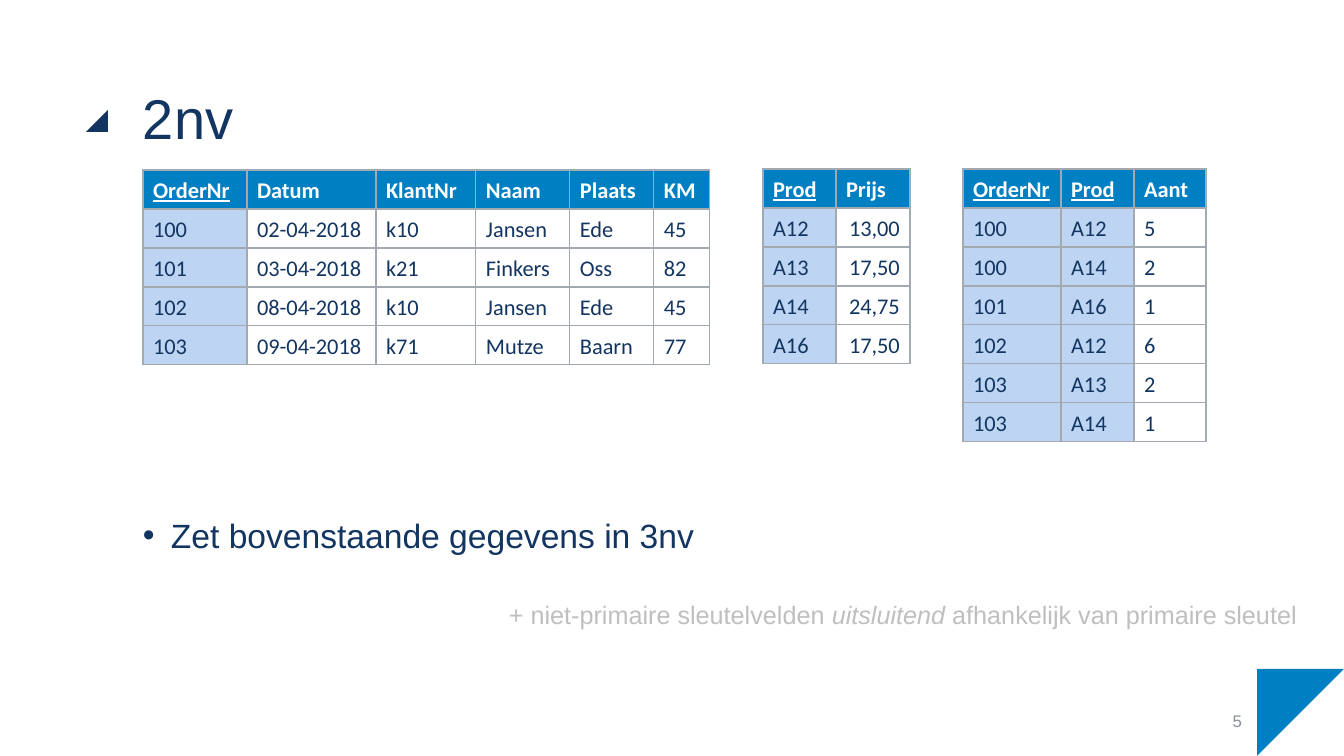
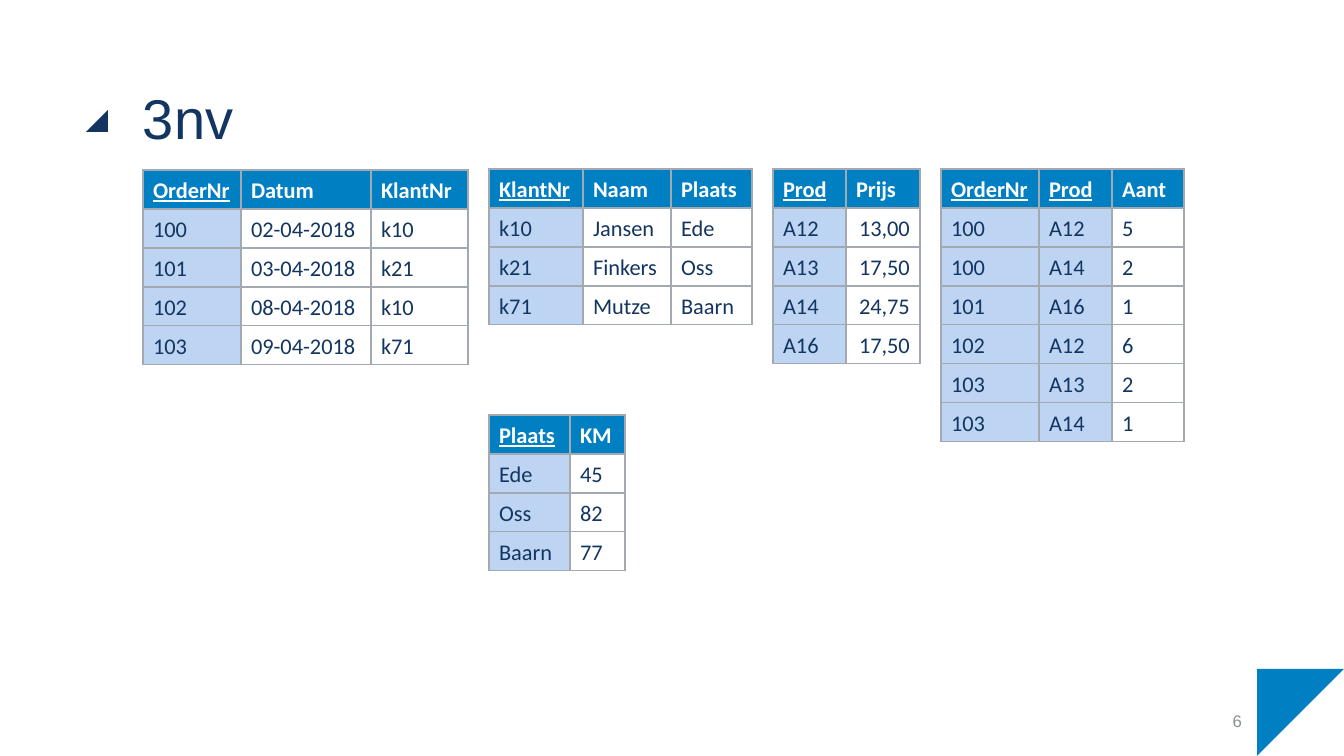
from dataclasses import dataclass

from lxml.etree import SubElement
from pptx import Presentation
from pptx.dml.color import RGBColor
from pptx.enum.shapes import MSO_SHAPE
from pptx.enum.text import MSO_ANCHOR, PP_ALIGN
from pptx.oxml import parse_xml
from pptx.oxml.ns import nsdecls, qn
from pptx.util import Emu, Pt


@dataclass(frozen=True)
class Theme:
    navy: str = "133561"
    blue: str = "007FC3"
    key: str = "BDD4F2"
    white: str = "FFFFFF"
    border: str = "A2A9B1"
    number: str = "8C909E"
    hint: str = "BFBFBF"
    font: str = "Arial"
    table_font: str = "Calibri"
    title_size: int = 40
    body_size: int = 24
    hint_size: int = 18
    table_size: int = 16
    number_size: int = 12


THEME = Theme()
SLIDE_W, SLIDE_H = 1344, 756
ROW_H = 39
LEFT = 143

ORDERS_2NV = {
    "keys": 1,
    "cols": [("OrderNr", 104), ("Datum", 129), ("KlantNr", 100),
             ("Naam", 94), ("Plaats", 84), ("KM", 56)],
    "rows": [
        ("100", "02-04-2018", "k10", "Jansen", "Ede", "45"),
        ("101", "03-04-2018", "k21", "Finkers", "Oss", "82"),
        ("102", "08-04-2018", "k10", "Jansen", "Ede", "45"),
        ("103", "09-04-2018", "k71", "Mutze", "Baarn", "77"),
    ],
}
ORDERS_3NV = {
    "keys": 1,
    "cols": [("OrderNr", 98), ("Datum", 130), ("KlantNr", 97)],
    "rows": [row[:3] for row in ORDERS_2NV["rows"]],
}
CUSTOMERS = {
    "keys": 1,
    "cols": [("KlantNr", 94), ("Naam", 88), ("Plaats", 81)],
    "rows": [("k10", "Jansen", "Ede"), ("k21", "Finkers", "Oss"),
             ("k71", "Mutze", "Baarn")],
}
PLACES = {
    "keys": 1,
    "cols": [("Plaats", 81), ("KM", 55)],
    "rows": [("Ede", "45"), ("Oss", "82"), ("Baarn", "77")],
}
PRODUCTS = {
    "keys": 1,
    "cols": [("Prod", 73), ("Prijs", 74)],
    "rows": [("A12", "13,00"), ("A13", "17,50"), ("A14", "24,75"),
             ("A16", "17,50")],
}
ORDER_LINES = {
    "keys": 2,
    "cols": [("OrderNr", 98), ("Prod", 73), ("Aant", 72)],
    "rows": [("100", "A12", "5"), ("100", "A14", "2"), ("101", "A16", "1"),
             ("102", "A12", "6"), ("103", "A13", "2"), ("103", "A14", "1")],
}
RIGHT_ALIGNED = {"Prijs"}

SLIDES = [
    {
        "title": "2nv",
        "number": "5",
        "gap": 53,
        "stacks": [[(170, ORDERS_2NV)], [(169, PRODUCTS)], [(169, ORDER_LINES)]],
        "task": "Zet bovenstaande gegevens in 3nv",
        "hint": [("+ niet-primaire sleutelvelden ", False),
                 ("uitsluitend ", True),
                 ("afhankelijk van primaire sleutel", False)],
    },
    {
        "title": "3nv",
        "number": "6",
        "gap": 21,
        "stacks": [[(170, ORDERS_3NV)], [(169, CUSTOMERS), (415, PLACES)],
                   [(169, PRODUCTS)], [(169, ORDER_LINES)]],
    },
]


def px(n):
    return Emu(round(n * 914400 / 100.8))


def box(*lengths):
    return [px(n) for n in lengths]


def rgb(color):
    return RGBColor.from_string(color)


def add_run(p, text, size, color, font=THEME.font, bold=False, italic=False,
            underline=False):
    r = p.add_run()
    r.text = text
    f = r.font
    f.name, f.size, f.bold, f.italic = font, Pt(size), bold, italic
    f.underline = underline
    f.color.rgb = rgb(color)


def add_text(s, at, runs, size, color, inset=True, spacing=None,
             anchor=MSO_ANCHOR.TOP, align=PP_ALIGN.LEFT):
    tf = s.shapes.add_textbox(*box(*at)).text_frame
    tf.word_wrap = True
    tf.vertical_anchor = anchor
    if not inset:
        tf.margin_left = tf.margin_top = tf.margin_right = tf.margin_bottom = 0
    p = tf.paragraphs[0]
    p.alignment = align
    p.line_spacing = spacing
    for text, italic in runs:
        add_run(p, text, size, color, italic=italic)
    return p


def add_bullet(p, indent):
    pPr = p._p.get_or_add_pPr()
    pPr.set("marL", str(px(indent)))
    pPr.set("indent", str(-px(indent)))
    SubElement(pPr, qn("a:buFont"), typeface=THEME.font)
    SubElement(pPr, qn("a:buChar"), char="•")


def add_triangle(s, x, y, size, rotation, color):
    sp = s.shapes.add_shape(MSO_SHAPE.RIGHT_TRIANGLE, *box(x, y, size, size))
    sp.rotation = rotation
    sp.shadow.inherit = False
    sp.fill.solid()
    sp.fill.fore_color.rgb = rgb(color)
    sp.line.fill.background()


def set_borders(cell):
    tcPr = cell._tc.get_or_add_tcPr()
    for i, side in enumerate(("lnL", "lnR", "lnT", "lnB")):
        tcPr.insert(i, parse_xml(
            f'<a:{side} {nsdecls("a")} w="{Pt(1)}"><a:solidFill>'
            f'<a:srgbClr val="{THEME.border}"/></a:solidFill></a:{side}>'))


def fill_cell(cell, text, header, key, align):
    cell.vertical_anchor = MSO_ANCHOR.MIDDLE
    cell.fill.solid()
    body_fill = THEME.key if key else THEME.white
    cell.fill.fore_color.rgb = rgb(THEME.blue if header else body_fill)
    set_borders(cell)
    p = cell.text_frame.paragraphs[0]
    p.alignment = align
    p.line_spacing = 1.07
    p.space_after = Pt(8)
    add_run(p, text, THEME.table_size, THEME.white if header else THEME.navy,
            THEME.table_font, bold=header, underline=header and key)


def table_width(data):
    return sum(w for _, w in data["cols"])


def add_relation(s, x, y, data):
    names = [name for name, _ in data["cols"]]
    rows = [names, *data["rows"]]
    frame = s.shapes.add_table(
        len(rows), len(names),
        *box(x, y, table_width(data), ROW_H * len(rows)))
    table = frame.table
    table.horz_banding = False
    for col, (_, w) in zip(table.columns, data["cols"]):
        col.width = px(w)
    for i, row in enumerate(rows):
        table.rows[i].height = px(ROW_H)
        for j, text in enumerate(row):
            right = i > 0 and names[j] in RIGHT_ALIGNED
            fill_cell(table.cell(i, j), text, i == 0, j < data["keys"],
                      PP_ALIGN.RIGHT if right else PP_ALIGN.LEFT)


def add_frame(s, title, number):
    add_triangle(s, 86, 110, 22, 270, THEME.navy)
    add_triangle(s, 1257, 669, 87, 90, THEME.blue)
    add_text(s, (LEFT, 80, 1088, 143), [(title, False)], THEME.title_size,
             THEME.navy, inset=False, spacing=1.05)
    add_text(s, (950, 701, 302, 40), [(number, False)], THEME.number_size,
             THEME.number, anchor=MSO_ANCHOR.MIDDLE, align=PP_ALIGN.RIGHT)


def build_slide(prs, content):
    s = prs.slides.add_slide(prs.slide_layouts[6])
    add_frame(s, content["title"], content["number"])
    x = LEFT
    for stack in content["stacks"]:
        for y, data in stack:
            add_relation(s, x, y, data)
        x += max(table_width(data) for _, data in stack) + content["gap"]
    if "task" in content:
        p = add_text(s, (LEFT, 507, 1088, 171), [(content["task"], False)],
                     THEME.body_size, THEME.navy, inset=False, spacing=1.2)
        add_bullet(p, 28)
    if "hint" in content:
        add_text(s, (499, 594, 821, 40), content["hint"], THEME.hint_size,
                 THEME.hint)


def main():
    prs = Presentation()
    prs.slide_width, prs.slide_height = box(SLIDE_W, SLIDE_H)
    for content in SLIDES:
        build_slide(prs, content)
    prs.save("out.pptx")


if __name__ == "__main__":
    main()
